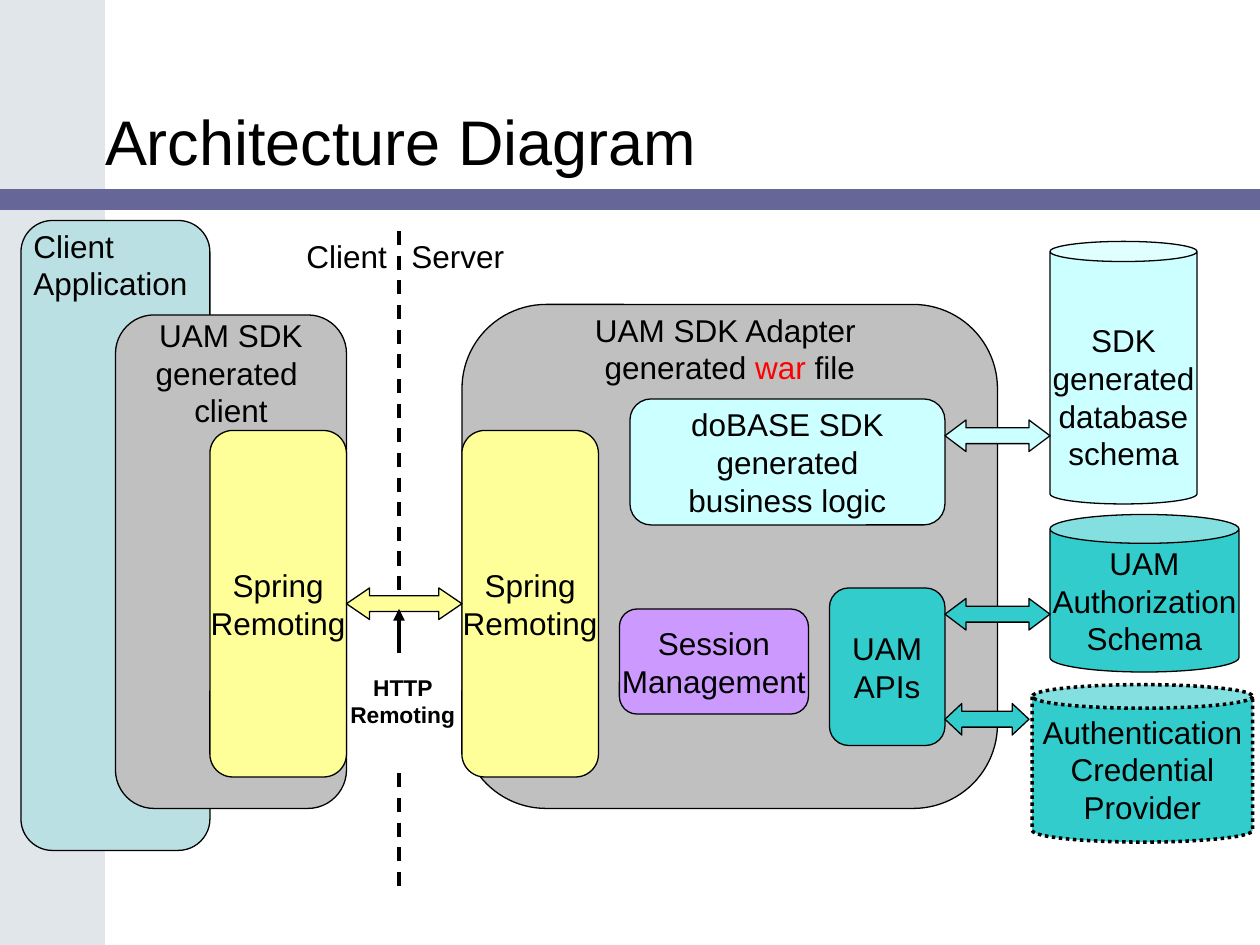
"""Build the architecture diagram slide on a grid of 120 columns by 90 rows."""
from dataclasses import dataclass

from lxml.etree import SubElement
from pptx import Presentation
from pptx.dml.color import RGBColor
from pptx.enum.dml import MSO_LINE
from pptx.enum.shapes import MSO_CONNECTOR, MSO_SHAPE
from pptx.enum.text import MSO_ANCHOR, PP_ALIGN
from pptx.oxml.ns import qn
from pptx.util import Inches, Pt

COLUMNS, ROWS = 120, 90
WIDTH, HEIGHT = Inches(10), Inches(7.5)


@dataclass(frozen=True)
class Theme:
    """Hold the colours, font and sizes of the slide."""
    font: str = "Arial"
    ink: str = "000000"
    accent: str = "FF0000"
    paper: str = "FFFFFF"
    sidebar: str = "E1E6EB"
    rule: str = "666699"
    client: str = "BBE0E3"
    container: str = "C0C0C0"
    remoting: str = "FFFF99"
    sdk: str = "CCFFFF"
    access: str = "33CCCC"
    session: str = "CC99FF"
    title_size: float = 36
    body_size: float = 18
    note_size: float = 13
    outline: float = 0.75
    heavy: float = 2
    pointer: float = 2.25


THEME = Theme()


def across(columns):
    """Convert grid columns to a length."""
    return round(WIDTH * columns / COLUMNS)


def down(rows):
    """Convert grid rows to a length."""
    return round(HEIGHT * rows / ROWS)


def place(left, top, width, height):
    """Convert a grid rectangle to slide lengths."""
    return across(left), down(top), across(width), down(height)


def write(shape, text, size=THEME.body_size, align=PP_ALIGN.CENTER,
          anchor=MSO_ANCHOR.MIDDLE, wrap=False, insets=(0.1, 0.05, 0.1, 0.05), bold=False):
    """Write lines of text, giving the parts between asterisks the accent colour."""
    frame = shape.text_frame
    frame.word_wrap = wrap
    frame.vertical_anchor = anchor
    (frame.margin_left, frame.margin_top,
     frame.margin_right, frame.margin_bottom) = map(Inches, insets)
    frame.text = text.replace("*", "")
    for para, line in zip(frame.paragraphs, text.split("\n")):
        para.alignment = align
        if "*" in line:
            para.clear()
            for part in line.split("*"):
                para.add_run().text = part
        for index, span in enumerate(para.runs):
            span.font.name = THEME.font
            span.font.size = Pt(size)
            span.font.bold = bold
            color = THEME.accent if index % 2 else THEME.ink
            span.font.color.rgb = RGBColor.from_string(color)


def add_block(slide, kind, area, fill, outline=THEME.outline, dash=None):
    """Add a filled shape, outlined unless the outline is zero."""
    shape = slide.shapes.add_shape(kind, *place(*area))
    shape.shadow.inherit = False
    shape.fill.solid()
    shape.fill.fore_color.rgb = RGBColor.from_string(fill)
    if outline:
        shape.line.color.rgb = RGBColor.from_string(THEME.ink)
        shape.line.width = Pt(outline)
        shape.line.dash_style = dash
    else:
        shape.line.fill.background()
    return shape


def add_panel(slide, area, fill, text=""):
    """Add a rounded panel with optional centred text."""
    panel = add_block(slide, MSO_SHAPE.ROUNDED_RECTANGLE, area, fill)
    panel.adjustments[0] = 0.167
    if text:
        write(panel, text)


def add_store(slide, area, fill, text, depth, top_inset=0.05, **outline):
    """Add a labelled cylinder."""
    store = add_block(slide, MSO_SHAPE.CAN, area, fill, **outline)
    store.adjustments[0] = depth
    write(store, text, insets=(0.1, top_inset, 0.1, 0.05))


def add_exchange(slide, left, top, width, fill):
    """Add a double arrow whose heads each take a fifth of its width."""
    height = 3
    arrow = add_block(slide, MSO_SHAPE.LEFT_RIGHT_ARROW, (left, top, width, height), fill)
    arrow.adjustments[0] = 0.5
    arrow.adjustments[1] = width / 5 / height


def add_label(slide, area, text, **style):
    """Add a free-standing text box."""
    box = slide.shapes.add_textbox(*place(*area))
    write(box, text, **style)


def add_upright(slide, column, start, end, weight, dash=None, head=False):
    """Add a vertical line, with an arrowhead at its end if asked."""
    line = slide.shapes.add_connector(
        MSO_CONNECTOR.STRAIGHT, across(column), down(start), across(column), down(end))
    line.line.color.rgb = RGBColor.from_string(THEME.ink)
    line.line.width = Pt(weight)
    line.line.dash_style = dash
    if head:
        SubElement(line.line._get_or_add_ln(), qn("a:tailEnd"), type="triangle")
    SubElement(line._element.spPr, qn("a:effectLst"))


def add_frame(slide):
    """Add the sidebar, rule and title."""
    for area, fill in (((0, 0, 10, ROWS), THEME.sidebar), ((0, 18, COLUMNS, 2), THEME.rule)):
        add_block(slide, MSO_SHAPE.RECTANGLE, area, fill, outline=0)
    add_label(slide, (10, 2, 92, 15), "Architecture Diagram", size=THEME.title_size,
              align=PP_ALIGN.LEFT, anchor=MSO_ANCHOR.BOTTOM, wrap=True, insets=(0, 0, 0, 0))


def add_server(slide):
    """Add the server side with its stores."""
    add_panel(slide, (44, 29, 51, 48), THEME.container)
    add_label(slide, (44, 29, 51, 8.4), "UAM SDK Adapter \ngenerated *war* file",
              anchor=MSO_ANCHOR.TOP)
    add_panel(slide, (60, 38, 30, 12), THEME.sdk, "doBASE SDK\ngenerated\nbusiness logic")
    add_panel(slide, (79, 56, 11, 15), THEME.access, "UAM\nAPIs")
    add_panel(slide, (59, 58, 18, 10), THEME.session, "Session\nManagement")
    add_store(slide, (100, 23, 14, 25), THEME.sdk, "SDK\ngenerated\ndatabase\nschema",
              0.137, top_inset=0.35)
    add_store(slide, (100, 49, 18, 15), THEME.access, "UAM\nAuthorization\nSchema", 0.183)
    add_store(slide, (98.3, 65.2, 21, 15), THEME.access, "Authentication\nCredential\nProvider",
              0.15, outline=THEME.heavy, dash=MSO_LINE.ROUND_DOT)
    for top, width, fill in ((40, 10, THEME.sdk), (57, 10, THEME.access), (67, 8, THEME.access)):
        add_exchange(slide, 90, top, width, fill)


def add_client(slide):
    """Add the client side."""
    add_panel(slide, (2, 21, 18, 60), THEME.client)
    add_label(slide, (2, 21, 18, 8.4), "Client \nApplication",
              align=PP_ALIGN.LEFT, anchor=MSO_ANCHOR.TOP, wrap=True)
    add_panel(slide, (11, 30, 22, 47), THEME.container)
    add_label(slide, (11, 29.5, 22, 12), "UAM SDK\ngenerated \nclient", anchor=MSO_ANCHOR.TOP)


def add_remoting(slide):
    """Add the remoting link across the client and server boundary."""
    for left in (20, 44):
        add_panel(slide, (left, 41, 13, 33), THEME.remoting, "Spring\nRemoting")
    add_exchange(slide, 33, 56, 11, THEME.remoting)
    note = add_block(slide, MSO_SHAPE.RECTANGLE, (33.2, 62.2, 10.3, 11.2), THEME.paper, outline=0)
    write(note, "HTTP Remoting", size=THEME.note_size, anchor=MSO_ANCHOR.TOP,
          wrap=True, insets=(0, 0.16, 0, 0), bold=True)
    for left, width, text in ((28, 10.1, "Client"), (38, 11.2, "Server")):
        add_label(slide, (left, 22, width, 4.8), text,
                  align=PP_ALIGN.LEFT, anchor=MSO_ANCHOR.TOP)
    add_upright(slide, 38, 62, 58, THEME.pointer, head=True)


def main():
    """Build and save the deck."""
    deck = Presentation()
    deck.slide_width, deck.slide_height = WIDTH, HEIGHT
    page = deck.slides.add_slide(deck.slide_layouts[6])
    add_frame(page)
    add_upright(page, 38, 22, 85, THEME.heavy, dash=MSO_LINE.DASH)
    add_server(page)
    add_client(page)
    add_remoting(page)
    deck.save("out.pptx")


main()
